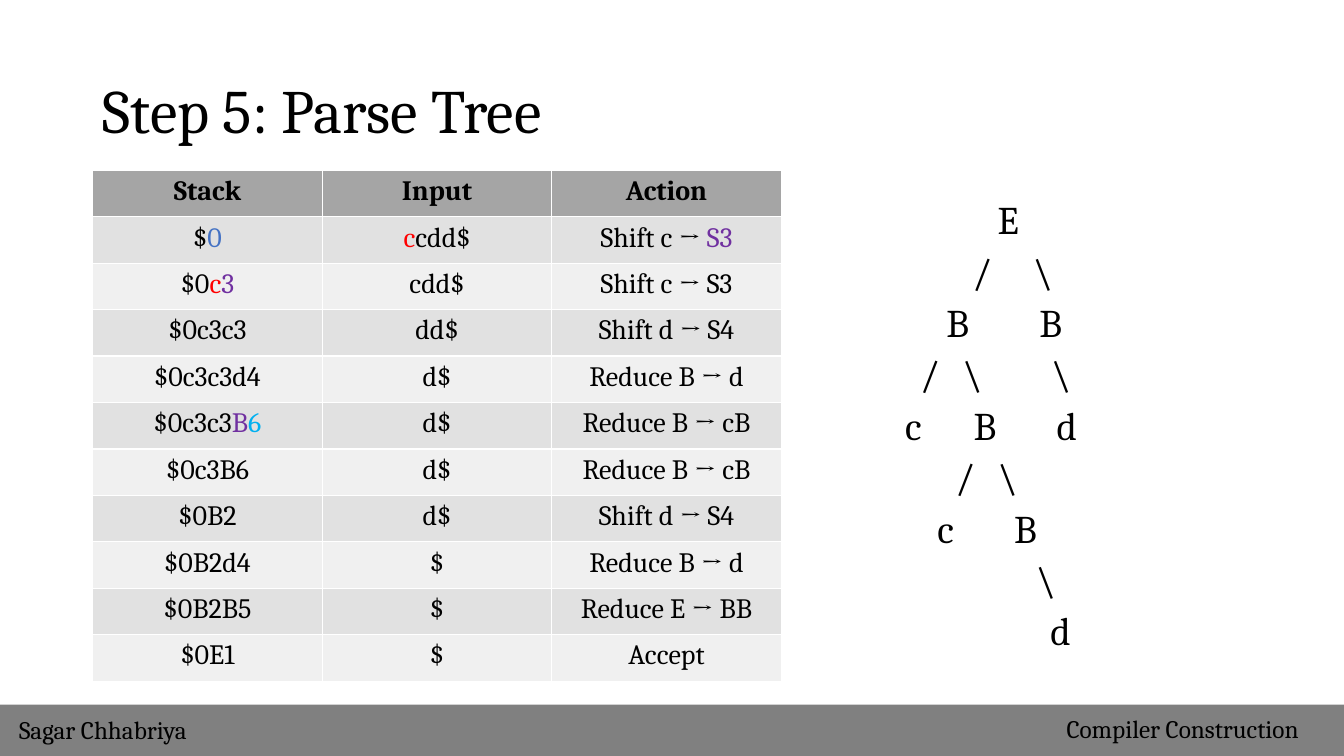
"""Build the parse tree slide of a compiler construction lecture."""
from dataclasses import dataclass

from pptx import Presentation
from pptx.dml.color import RGBColor
from pptx.enum.shapes import MSO_SHAPE as Shape
from pptx.enum.text import MSO_ANCHOR as Anchor, MSO_AUTO_SIZE as AutoSize, PP_ALIGN as Align
from pptx.util import Inches, Pt


@dataclass(frozen=True)
class Theme:
    font: str = "Cambria"
    title_size: int = 44
    tree_size: int = 28
    table_size: int = 20
    footer_size: int = 18
    black: str = "000000"
    red: str = "FF0000"
    blue: str = "4472C4"
    purple: str = "7030A0"
    cyan: str = "00B0F0"
    footer_bar: str = "808080"
    header: str = "A5A5A5"
    bands: tuple = ("E1E1E1", "F0F0F0")


THEME = Theme()

HEADINGS = ["Stack", "Input", "Action"]
STEPS = [
    [["$", ("0", THEME.blue)], [("c", THEME.red), "cdd$"], ["Shift c → ", ("S3", THEME.purple)]],
    [["$0", ("c", THEME.red), ("3", THEME.purple)], ["cdd$"], ["Shift c → S3"]],
    [["$0c3c3"], ["dd$"], ["Shift d → S4"]],
    [["$0c3c3d4"], ["d$"], ["Reduce B → d"]],
    [["$0c3c3", ("B", THEME.purple), ("6", THEME.cyan)], ["d$"], ["Reduce B → cB"]],
    [["$0c3B6"], ["d$"], ["Reduce B → cB"]],
    [["$0B2"], ["d$"], ["Shift d → S4"]],
    [["$0B2d4"], ["$"], ["Reduce B → d"]],
    [["$0B2B5"], ["$"], ["Reduce E → BB"]],
    [["$0E1"], ["$"], ["Accept"]],
]
TREE_LEVELS = [
    [("E", 10.0)],
    [("/", 9.74), ("\\", 10.35)],
    [("B", 9.5), ("B", 10.42)],
    [("/", 9.22), ("\\", 9.65), ("\\", 10.53)],
    [("c", 9.06), ("B", 9.77), ("d", 10.58)],
    [("/", 9.57), ("\\", 10.0)],
    [("c", 9.38), ("B", 10.17)],
    [("\\", 10.38)],
    [("d", 10.52)],
]


class SlideBuilder:
    def __init__(self, deck, theme):
        self.theme = theme
        self.slide = deck.slides.add_slide(deck.slide_layouts[5])

    def style(self, para, size, align=Align.LEFT, bold=False):
        para.alignment = align
        font = para.font
        font.name, font.size, font.bold = self.theme.font, Pt(size), bold
        font.color.rgb = RGBColor.from_string(self.theme.black)

    def title(self, text, left, top, width, height):
        title = self.slide.shapes.title
        title.left, title.top = Inches(left), Inches(top)
        title.width, title.height = Inches(width), Inches(height)
        frame = title.text_frame
        frame.text = text
        frame.vertical_anchor = Anchor.MIDDLE
        frame.auto_size = AutoSize.NONE
        para = frame.paragraphs[0]
        para.line_spacing = 0.9
        self.style(para, self.theme.title_size)

    def tree(self, levels, top, pitch, width=0.4, height=0.54):
        for number, level in enumerate(levels):
            for text, center in level:
                frame = self.label(text, self.theme.tree_size, center - width / 2,
                                   top + number * pitch, width, height, Align.CENTER)
                frame.margin_left = frame.margin_right = 0
                frame.margin_top = frame.margin_bottom = 0

    def table(self, headings, rows, left, top, width, height):
        table = self.slide.shapes.add_table(
            len(rows) + 1, len(headings), *map(Inches, (left, top, width, height))).table
        for index, heading in enumerate(headings):
            self.cell(table.cell(0, index), [heading], self.theme.header, bold=True)
        for number, row in enumerate(rows):
            for index, parts in enumerate(row):
                self.cell(table.cell(number + 1, index), parts, self.theme.bands[number % 2])

    def cell(self, cell, parts, fill, bold=False):
        cell.fill.solid()
        cell.fill.fore_color.rgb = RGBColor.from_string(fill)
        para = cell.text_frame.paragraphs[0]
        self.style(para, self.theme.table_size, Align.CENTER, bold)
        for part in parts:
            text, color = (part, self.theme.black) if isinstance(part, str) else part
            span = para.add_run()
            span.text = text
            span.font.color.rgb = RGBColor.from_string(color)

    def bar(self, color, *bounds):
        bar = self.slide.shapes.add_shape(Shape.RECTANGLE, *map(Inches, bounds))
        bar.shadow.inherit = False
        bar.fill.solid()
        bar.fill.fore_color.rgb = RGBColor.from_string(color)
        bar.line.fill.background()

    def label(self, text, size, left, top, width, height, align=Align.LEFT):
        box = self.slide.shapes.add_textbox(*map(Inches, (left, top, width, height)))
        frame = box.text_frame
        frame.word_wrap = True
        frame.text = text
        self.style(frame.paragraphs[0], size, align)
        return frame


def main():
    deck = Presentation()
    deck.slide_width, deck.slide_height = Inches(13.33), Inches(7.5)
    page = SlideBuilder(deck, THEME)
    page.bar(THEME.footer_bar, 0, 6.99, 13.33, 0.51)
    page.label("Sagar Chhabriya", THEME.footer_size, 0.09, 7.04, 1.99, 0.4)
    page.label("Compiler Construction", THEME.footer_size, 10.48, 7.03, 2.8, 0.4)
    page.title("Step 5: Parse Tree", 0.92, 0.4, 11.5, 1.45)
    page.tree(TREE_LEVELS, 1.94, 0.51)
    page.table(HEADINGS, STEPS, 0.92, 1.69, 6.83, 5.07)
    deck.save("out.pptx")


if __name__ == "__main__":
    main()
